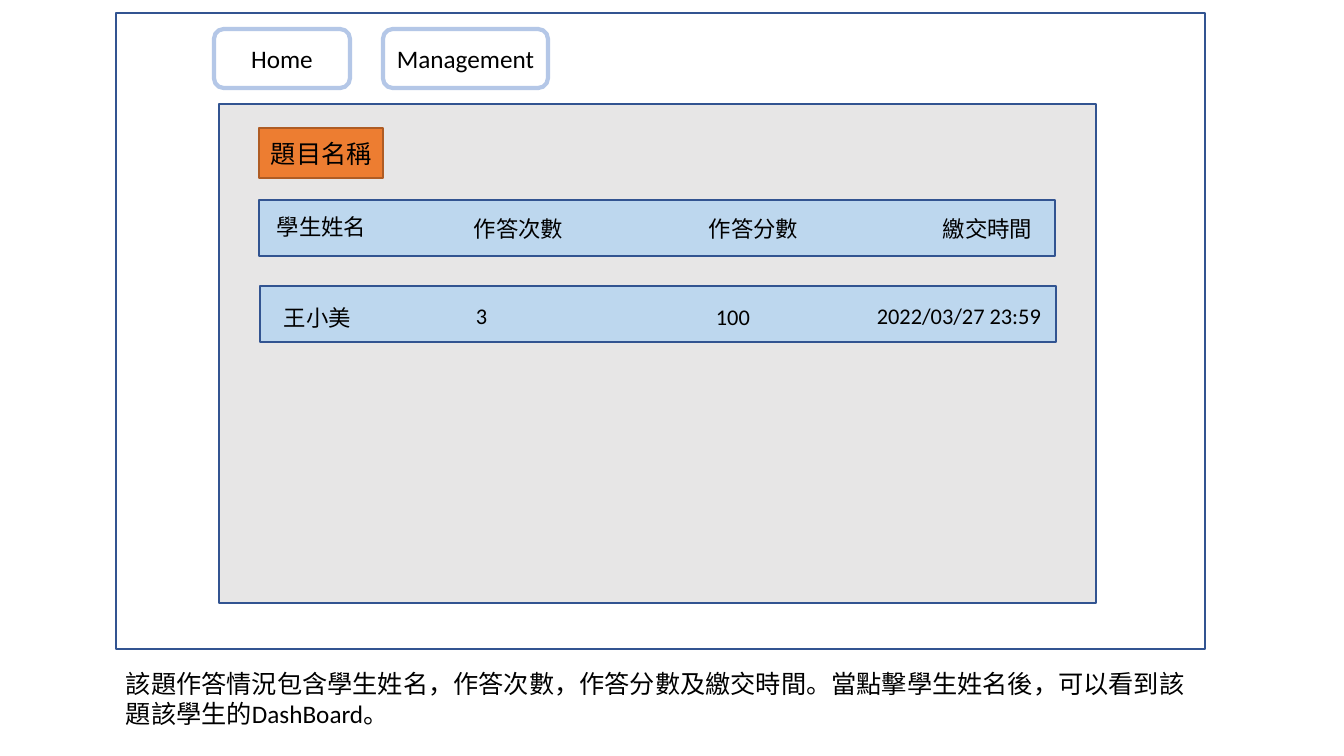
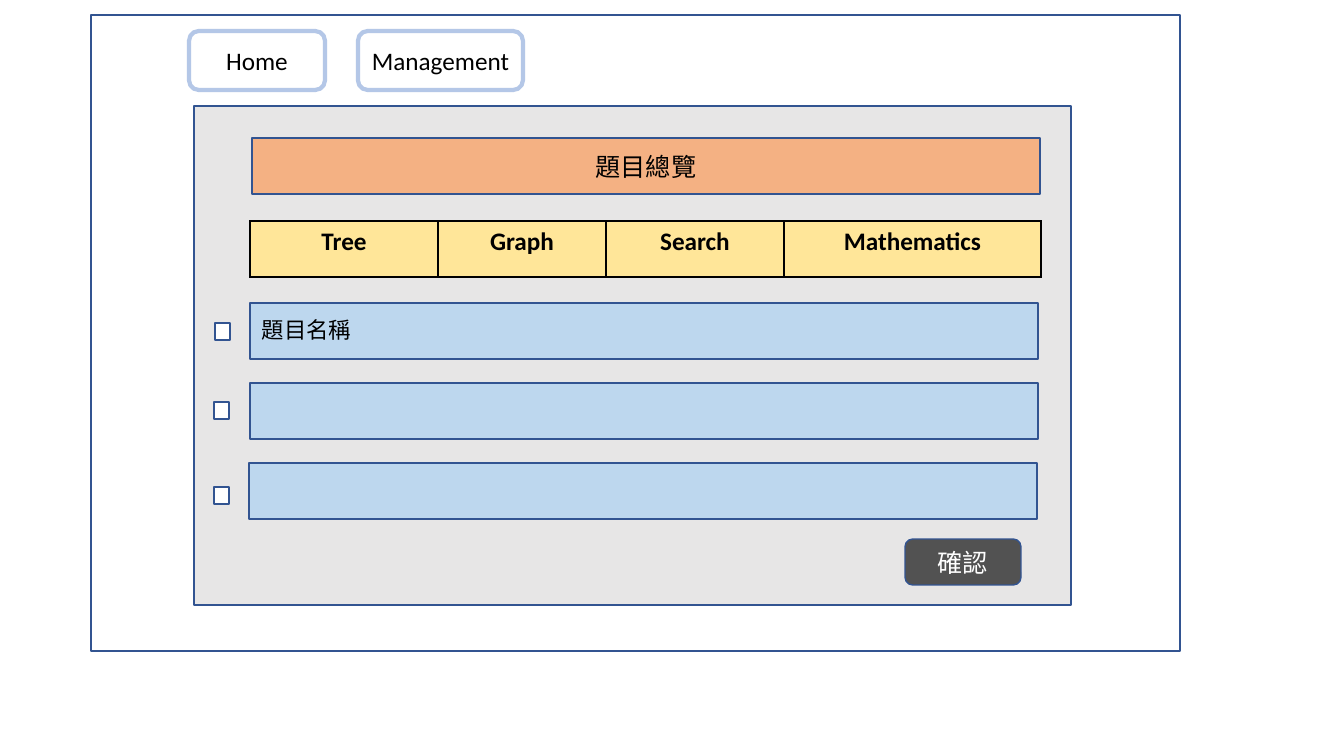
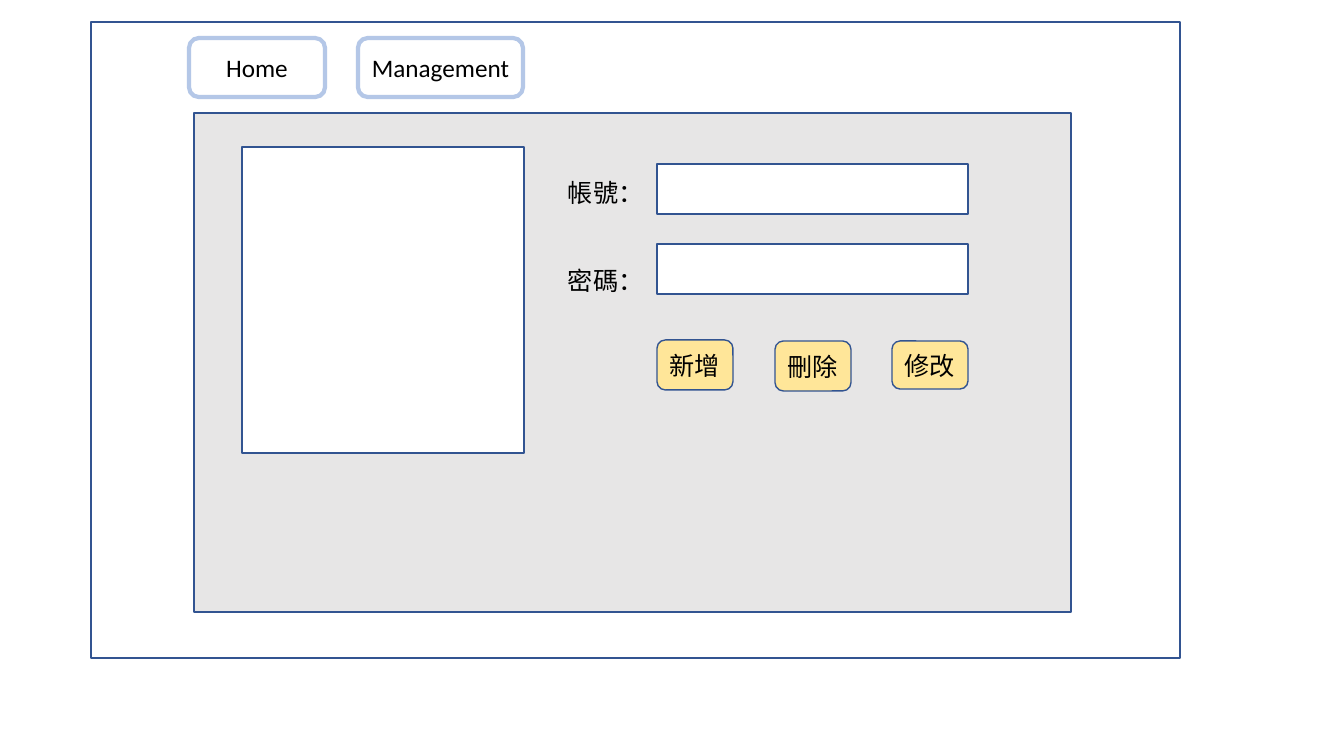
from dataclasses import dataclass

from lxml import etree
from pptx import Presentation
from pptx.dml.color import RGBColor
from pptx.enum import shapes, text
from pptx.oxml import ns

PX = 914400 / 100.8
PT = 12700


@dataclass(frozen=True)
class Theme:
    font: str = "Calibri"
    body: int = 18
    small: int = 16
    thin: int = 1
    thick: int = 3
    ink: str = "000000"
    paper: str = "FFFFFF"
    outline: str = "325491"
    nav: str = "B4C7E7"
    panel: str = "E7E6E6"
    row: str = "BDD7EE"
    tag: str = "ED7D31"
    tag_line: str = "AF5C24"
    heading: str = "F4B183"
    yellow: str = "FFE699"
    confirm: str = "525252"


theme = Theme()
RECT = shapes.MSO_SHAPE.RECTANGLE
ROUND = shapes.MSO_SHAPE.ROUNDED_RECTANGLE
PROCESS = shapes.MSO_SHAPE.FLOWCHART_PROCESS
CENTER = text.PP_ALIGN.CENTER


def write(frame, words, size=theme.body, color=theme.ink, bold=False, align=None):
    frame.text = words
    frame.word_wrap = True
    line = frame.paragraphs[0]
    line.alignment = align
    for run in line.runs:
        run.font.name = theme.font
        run.font.size = size * PT
        run.font.bold = bold
        run.font.color.rgb = RGBColor.from_string(color)


def draw(slide, place, words="", kind=RECT, fill=None, line=theme.outline,
         weight=theme.thin, color=theme.ink):
    shape = slide.shapes.add_shape(kind, *(round(n * PX) for n in place))
    shape.shadow.inherit = False
    if fill:
        shape.fill.solid()
        shape.fill.fore_color.rgb = RGBColor.from_string(fill)
    else:
        shape.fill.background()
    shape.line.color.rgb = RGBColor.from_string(line)
    shape.line.width = weight * PT
    if words:
        shape.text_frame.vertical_anchor = text.MSO_ANCHOR.MIDDLE
        write(shape.text_frame, words, color=color, align=CENTER)


deck = Presentation()
deck.slide_width, deck.slide_height = round(1344 * PX), round(756 * PX)

# Shared window: frame, grey panel and navigation buttons
pages = []
for left, top in [(116, 13), (91, 15), (91, 22)]:
    page = deck.slides.add_slide(deck.slide_layouts[6])
    draw(page, (left, top, 1089, 636), fill=theme.paper)
    draw(page, (left + 103, top + 91, 877, 499), fill=theme.panel)
    for name, offset, width in [("Home", 98, 136), ("Management", 267, 165)]:
        draw(page, (left + offset, top + 16, width, 59), name, ROUND,
             line=theme.nav, weight=theme.thick)
    pages.append(page)
answers, overview, accounts = pages

# Answers: question tag and record bars
draw(answers, (259, 200, 796, 56), fill=theme.row)
draw(answers, (260, 286, 796, 56), fill=theme.row)
draw(answers, (259, 128, 124, 50), fill=theme.tag, line=theme.tag_line)

# Overview: heading, question bars with checkboxes, confirm button
draw(overview, (252, 138, 788, 56), "題目總覽", fill=theme.heading)
for index, (bar_left, check_left, check_top) in enumerate(
        [(250, 215, 323), (250, 214, 402), (249, 214, 487)]):
    draw(overview, (bar_left, 303 + 80 * index, 788, 56), fill=theme.row)
    draw(overview, (check_left, check_top, 15, 17), fill=theme.paper)
draw(overview, (905, 539, 116, 46), "確認", ROUND, fill=theme.confirm, color=theme.paper)

# Overview: topic table
topics = [("Tree", 188), ("Graph", 168), ("Search", 178), ("Mathematics", 257)]
topic_table = overview.shapes.add_table(
    1, len(topics), *(round(n * PX) for n in (250, 221, 791, 56))).table
topic_table.first_row = topic_table.horz_banding = False
for index, (topic, width) in enumerate(topics):
    topic_table.columns[index].width = round(width * PX)
    cell = topic_table.cell(0, index)
    write(cell.text_frame, topic, bold=True, align=CENTER)
    borders = cell._tc.get_or_add_tcPr()
    for side in ("a:lnL", "a:lnR", "a:lnT", "a:lnB"):
        edge = etree.SubElement(borders, ns.qn(side), w=str(theme.thin * PT))
        paint = etree.SubElement(edge, ns.qn("a:solidFill"))
        etree.SubElement(paint, ns.qn("a:srgbClr"), val=theme.ink)
    cell.fill.solid()
    cell.fill.fore_color.rgb = RGBColor.from_string(theme.yellow)

# Accounts: list area, input fields and action buttons
draw(accounts, (242, 147, 282, 306), fill=theme.paper)
for field_top in (164, 244):
    draw(accounts, (657, field_top, 311, 50), kind=PROCESS, fill=theme.paper)
for index, (action, top, height) in enumerate(
        [("新增", 340, 50), ("刪除", 341, 50), ("修改", 341, 48)]):
    draw(accounts, (657 + round(117.5 * index), top, 76, height), action, ROUND,
         fill=theme.yellow)

# Free-standing labels
labels = [
    (answers, "題目名稱", theme.body, (261, 133, 823, 40)),
    (answers, "學生姓名", theme.small, (267, 208, 116, 37)),
    (answers, "作答次數", theme.small, (464, 210, 116, 37)),
    (answers, "作答分數", theme.small, (699, 210, 116, 37)),
    (answers, "繳交時間", theme.small, (933, 210, 116, 37)),
    (answers, "王小美", theme.small, (274, 299, 116, 37)),
    (answers, "3", theme.small, (466, 297, 116, 37)),
    (answers, "100", theme.small, (706, 298, 116, 37)),
    (answers, "2022/03/27 23:59", theme.small, (867, 297, 195, 37)),
    (answers, "該題作答情況包含學生姓名，作答次數，作答分數及繳交時間。"
              "當點擊學生姓名後，可以看到該題該學生的DashBoard。",
     theme.body, (116, 663, 1089, 72)),
    (overview, "題目名稱", theme.small, (252, 311, 133, 37)),
    (accounts, "帳號：", theme.body, (558, 172, 97, 42)),
    (accounts, "密碼：", theme.body, (558, 260, 97, 42)),
]
for page, words, size, place in labels:
    label = page.shapes.add_textbox(*(round(n * PX) for n in place))
    write(label.text_frame, words, size)

deck.save("out.pptx")
